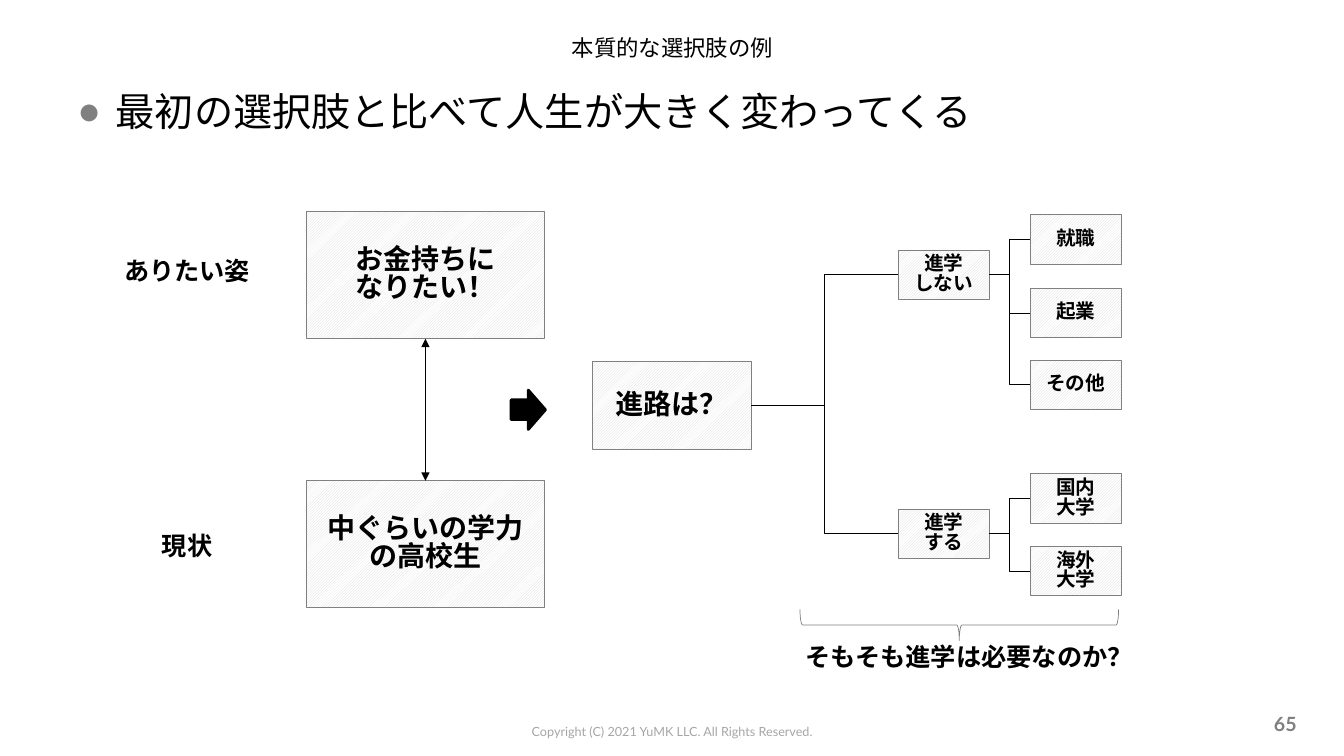
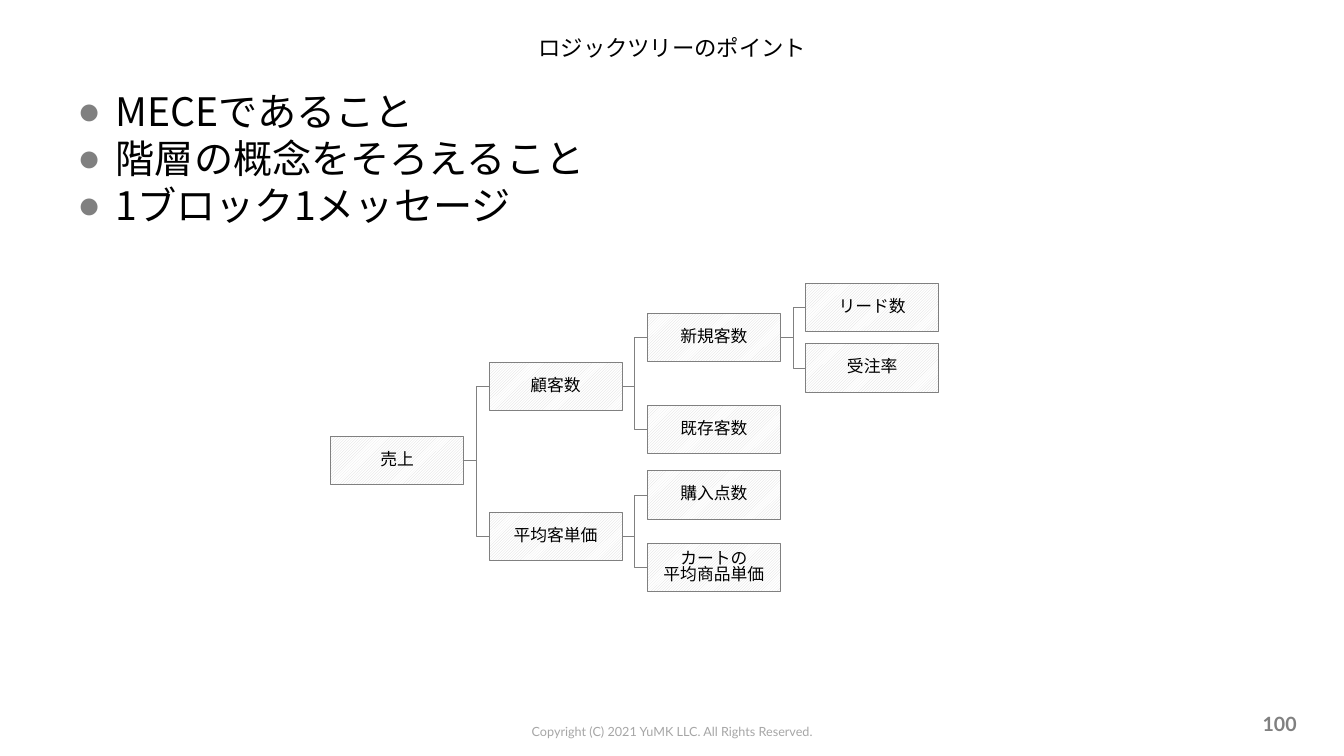
from dataclasses import dataclass
from typing import Optional

from lxml import etree
from pptx import Presentation
from pptx.dml.color import RGBColor
from pptx.enum import dml, shapes, text
from pptx.oxml import ns
from pptx.util import Inches, Pt

# Shared look
BLACK = RGBColor(0x00, 0x00, 0x00)
GRAY = RGBColor(0x80, 0x80, 0x80)
FOOTER_GRAY = RGBColor(0xA6, 0xA6, 0xA6)
HATCH_GRAY = RGBColor(0xD9, 0xD9, 0xD9)
WHITE = RGBColor(0xFF, 0xFF, 0xFF)
JAPANESE_FONT = "Noto Sans CJK JP"
LATIN_FONT = "Lato"
BULLET_FONT = "Arial"
JAPANESE_SPACING = 0.83
HAIRLINE = Pt(0.5)

LEFT = text.PP_ALIGN.LEFT
CENTER = text.PP_ALIGN.CENTER
RIGHT = text.PP_ALIGN.RIGHT
TOP = text.MSO_ANCHOR.TOP
MIDDLE = text.MSO_ANCHOR.MIDDLE
RIGHT_SITE, LEFT_SITE = 3, 1


@dataclass(frozen=True)
class Box:
    left: float
    top: float
    width: float
    height: float

    def lengths(self) -> tuple:
        return tuple(Inches(v) for v in (self.left, self.top, self.width, self.height))


@dataclass(frozen=True)
class Level:
    """Place and format of one column of a tree."""
    left: float
    width: float
    height: float
    size: int


@dataclass(frozen=True)
class Node:
    label: str
    top: float
    children: tuple = ()


def add_xml(parent, tag: str, **attributes: str):
    return etree.SubElement(parent, ns.qn(tag), attributes)


# Text
def add_bullet(paragraph) -> None:
    properties = paragraph._p.get_or_add_pPr()
    properties.set("marL", str(Inches(0.38)))
    properties.set("indent", str(-Inches(0.38)))
    color = add_xml(properties, "a:buClr")
    add_xml(color, "a:srgbClr", val=str(GRAY))
    add_xml(properties, "a:buFont", typeface=BULLET_FONT)
    add_xml(properties, "a:buChar", char="●")


def write_text(shape, content: str, *, size: int, font: str = JAPANESE_FONT,
               color: RGBColor = BLACK, bold: bool = False, align=CENTER,
               anchor=MIDDLE, wrap: bool = True, bullets: bool = False) -> None:
    """Fill a shape with one paragraph for each line of content."""
    frame = shape.text_frame
    frame.word_wrap = wrap
    frame.vertical_anchor = anchor
    for index, line in enumerate(content.split("\n")):
        paragraph = frame.add_paragraph() if index else frame.paragraphs[0]
        paragraph.alignment = align
        if font == JAPANESE_FONT:
            paragraph.line_spacing = JAPANESE_SPACING
        if bullets:
            if index:
                paragraph.space_before = Pt(0.2 * size)
            add_bullet(paragraph)
        run = paragraph.add_run()
        run.text = line
        run.font.size = Pt(size)
        run.font.bold = bold
        run.font.color.rgb = color
        run.font.name = font
        add_xml(run._r.get_or_add_rPr(), "a:ea", typeface=font)


def add_text(slide, box: Box, content: str, **text_format) -> None:
    write_text(slide.shapes.add_textbox(*box.lengths()), content, **text_format)


# Shapes and lines
def add_plain_shape(slide, kind, box: Box, line_color: RGBColor, line_width=HAIRLINE):
    shape = slide.shapes.add_shape(kind, *box.lengths())
    shape.shadow.inherit = False
    shape.fill.background()
    shape.line.color.rgb = line_color
    shape.line.width = line_width
    return shape


def add_hatched_box(slide, box: Box, label: str, size: int, bold: bool):
    shape = add_plain_shape(slide, shapes.MSO_SHAPE.RECTANGLE, box, GRAY)
    shape.fill.patterned()
    shape.fill.pattern = dml.MSO_PATTERN.LIGHT_UPWARD_DIAGONAL
    shape.fill.fore_color.rgb = HATCH_GRAY
    shape.fill.back_color.rgb = WHITE
    write_text(shape, label, size=size, bold=bold)
    return shape


def connect(slide, kind, start, start_site: int, end, end_site: int,
            color: RGBColor, arrows: bool = False) -> None:
    connector = slide.shapes.add_connector(kind, start.left, start.top, end.left, end.top)
    connector.begin_connect(start, start_site)
    connector.end_connect(end, end_site)
    connector.line.color.rgb = color
    connector.line.width = HAIRLINE
    if arrows:
        line = connector.line._get_or_add_ln()
        for tag in ("a:headEnd", "a:tailEnd"):
            add_xml(line, tag, type="triangle")
    add_xml(connector._element.spPr, "a:effectLst")


def draw_tree(slide, node: Node, levels: list[Level], line_color: RGBColor,
              bold: bool, parent: Optional[object] = None) -> None:
    level = levels[0]
    shape = add_hatched_box(slide, Box(level.left, node.top, level.width, level.height),
                            node.label, level.size, bold)
    if parent is not None:
        connect(slide, shapes.MSO_CONNECTOR.ELBOW, parent, RIGHT_SITE,
                shape, LEFT_SITE, line_color)
    for child in node.children:
        draw_tree(slide, child, levels[1:], line_color, bold, shape)


# Frame of every slide
def add_page(presentation, title: str, points: str, points_height: float, number: int):
    slide = presentation.slides.add_slide(presentation.slide_layouts[6])
    add_text(slide, Box(4.2, 7.13, 4.93, 0.25),
             "Copyright (C) 2021 YuMK LLC. All Rights Reserved.",
             size=9, font=LATIN_FONT, color=FOOTER_GRAY, anchor=TOP)
    add_text(slide, Box(0.67, 0.22, 12, 0.54), title, size=16)
    add_text(slide, Box(0.67, 0.9, 12, points_height), points,
             size=28, align=LEFT, anchor=TOP, bullets=True)
    add_text(slide, Box(9.85, 6.98, 3.11, 0.4), str(number),
             size=14, font=LATIN_FONT, color=GRAY, bold=True, align=RIGHT)
    return slide


def build_choices(presentation) -> None:
    slide = add_page(presentation, "本質的な選択肢の例",
                     "最初の選択肢と比べて人生が大きく変わってくる", 0.68, 65)

    # Goal and present state
    goal, present = (
        add_hatched_box(slide, Box(3.04, top, 2.36, 1.26), label, 20, True)
        for top, label in ((2.1, "お金持ちに\nなりたい！"), (4.77, "中ぐらいの学力の高校生"))
    )
    connect(slide, shapes.MSO_CONNECTOR.STRAIGHT, goal, 2, present, 0, BLACK, arrows=True)
    for top, label in ((2.53, "ありたい姿"), (5.26, "現状")):
        add_text(slide, Box(1.07, top, 1.57, 0.4), label, size=18, bold=True, anchor=TOP)
    arrow = add_plain_shape(slide, shapes.MSO_SHAPE.RIGHT_ARROW,
                            Box(5.07, 3.87, 0.34, 0.39), BLACK, Pt(2))
    arrow.fill.solid()
    arrow.fill.fore_color.rgb = BLACK

    # Tree of choices
    levels = [Level(5.88, 1.57, 0.87, 20),
              Level(8.91, 0.9, 0.49, 14),
              Level(10.22, 0.9, 0.49, 14)]
    tree = Node("進路は？", 3.59, (
        Node("進学\nしない", 2.48, (
            Node("就職", 2.13), Node("起業", 2.86), Node("その他", 3.57))),
        Node("進学\nする", 5.05, (
            Node("国内\n大学", 4.7), Node("海外\n大学", 5.42))),
    ))
    draw_tree(slide, tree, levels, BLACK, bold=True)

    # Question under the tree
    brace = add_plain_shape(slide, shapes.MSO_SHAPE.LEFT_BRACE,
                            Box(9.36, 4.62, 0.31, 3.16), GRAY)
    brace.rotation = 270
    add_text(slide, Box(7.89, 6.36, 3.48, 0.4), "そもそも進学は必要なのか？",
             size=18, bold=True, align=LEFT, anchor=TOP, wrap=False)


def build_logic_tree(presentation) -> None:
    slide = add_page(presentation, "ロジックツリーのポイント",
                     "MECEであること\n階層の概念をそろえること\n1ブロック1メッセージ", 5.79, 100)
    levels = [Level(3.28 + 1.57 * column, 1.32, 0.48, 12) for column in range(4)]
    tree = Node("売上", 4.33, (
        Node("顧客数", 3.59, (
            Node("新規客数", 3.11, (Node("リード数", 2.81), Node("受注率", 3.41))),
            Node("既存客数", 4.02))),
        Node("平均客単価", 5.08, (
            Node("購入点数", 4.67), Node("カートの\n平均商品単価", 5.39))),
    ))
    draw_tree(slide, tree, levels, GRAY, bold=False)


def main() -> None:
    presentation = Presentation()
    presentation.slide_width = Inches(13.33)
    presentation.slide_height = Inches(7.5)
    build_choices(presentation)
    build_logic_tree(presentation)
    presentation.save("out.pptx")


if __name__ == "__main__":
    main()
